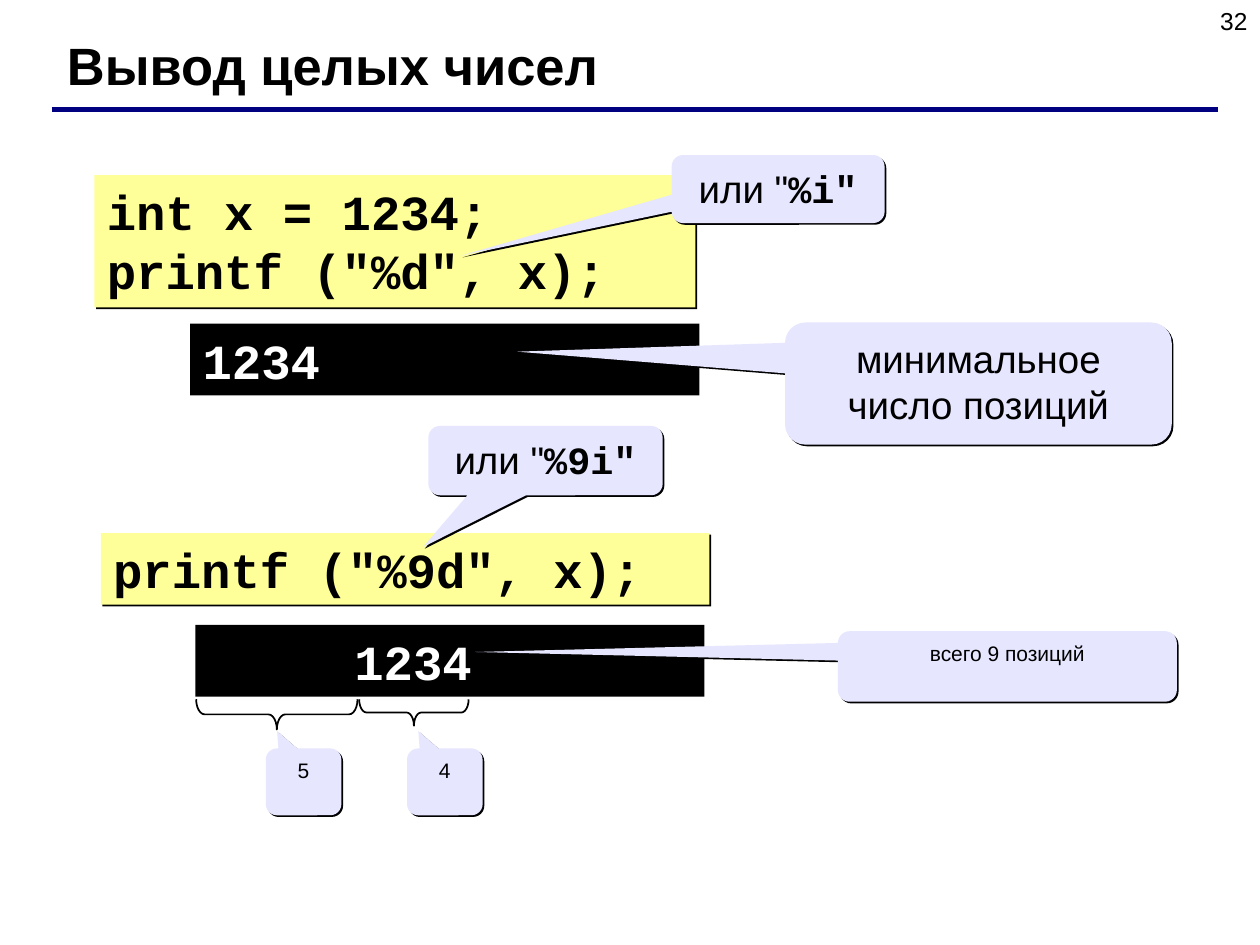
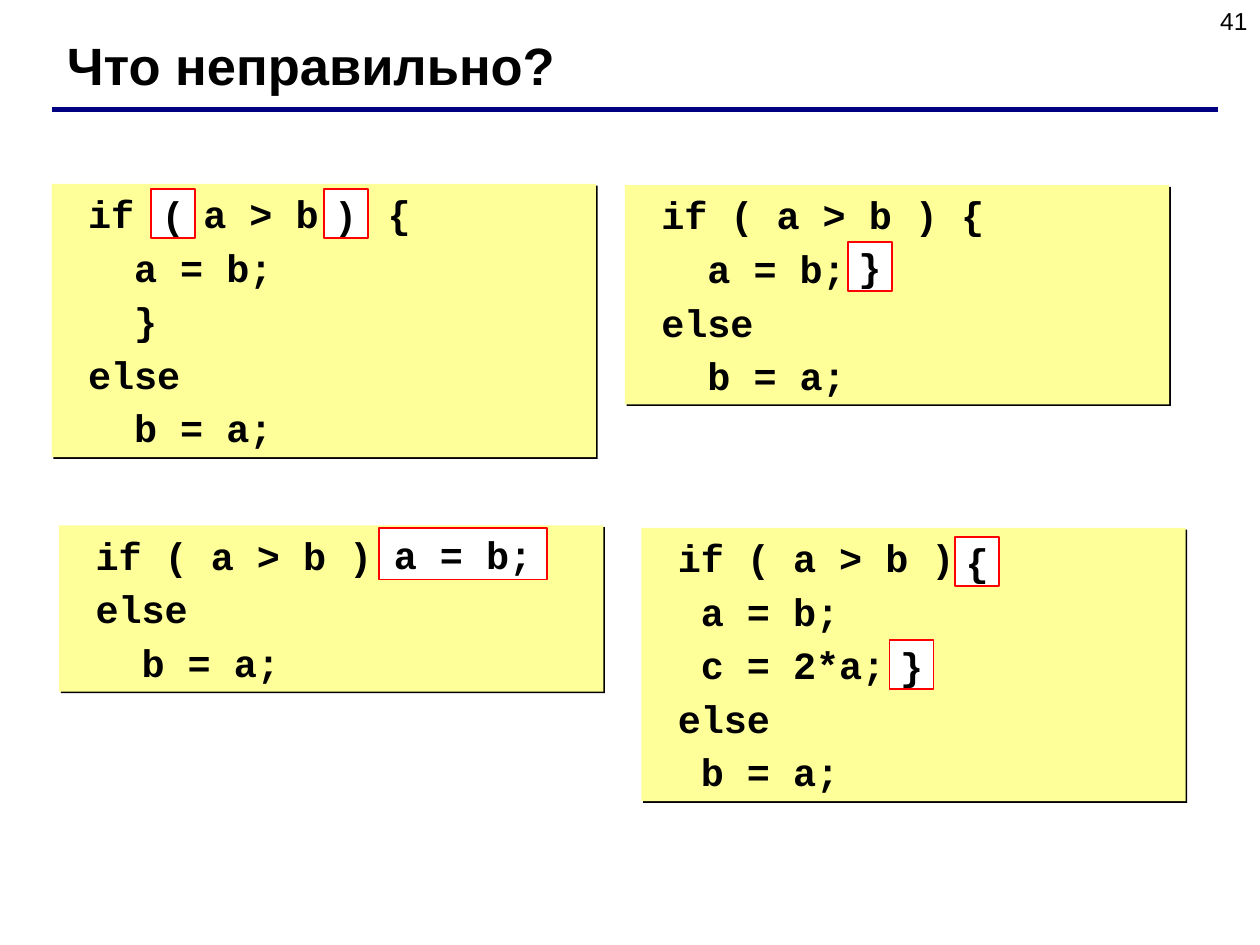
from lxml.etree import SubElement
from pptx import Presentation
from pptx.dml.color import RGBColor
from pptx.enum.shapes import MSO_CONNECTOR, MSO_SHAPE
from pptx.enum.text import MSO_ANCHOR, MSO_AUTO_SIZE, PP_ALIGN
from pptx.oxml.ns import qn
from pptx.util import Pt

BLACK, WHITE, NAVY, RED = "000000", "FFFFFF", "000080", "FF0000"
CODE_FILL, CALLOUT_FILL = "FFFF99", "E6E6FF"
SANS, MONO = "Arial", "Courier New"
MONO_LINE_HEIGHT = 1.205
TITLE_ONLY = 5


def color(value):
    """Turn a hex string into a colour."""
    return RGBColor.from_string(value)


def points(*values):
    """Turn numbers into lengths in points."""
    return [Pt(value) for value in values]


def style_font(font, name, size, bold=False, fill=BLACK):
    """Set the face, size, weight and colour of a font."""
    font.name, font.size, font.bold = name, Pt(size), bold
    font.color.rgb = color(fill)


def add_box(slide, kind, box, fill, line=None, shadow=False):
    """Add a filled preset shape with an optional outline and hard shadow."""
    shape = slide.shapes.add_shape(kind, *points(*box))
    shape.shadow.inherit = False
    shape.fill.solid()
    shape.fill.fore_color.rgb = color(fill)
    if line:
        shape.line.color.rgb = color(line)
        shape.line.width = Pt(1)
    else:
        shape.line.fill.background()
    if shadow:
        effects = shape._element.spPr.find(qn("a:effectLst"))
        outer = SubElement(effects, qn("a:outerShdw"), blurRad="0", dist=str(Pt(1.4)),
                           dir="2700000", algn="ctr", rotWithShape="0")
        SubElement(outer, qn("a:srgbClr"), val=BLACK)
    shape.text_frame.word_wrap = True
    shape.text_frame.vertical_anchor = MSO_ANCHOR.TOP
    return shape


def write_code(shape, lines, size, fill=BLACK, align=PP_ALIGN.LEFT, gap=0):
    """Write lines of bold monospaced code, one paragraph each."""
    frame = shape.text_frame
    for index, line in enumerate(lines):
        paragraph = frame.add_paragraph() if index else frame.paragraphs[0]
        paragraph.text = line
        paragraph.alignment = align
        paragraph.line_spacing = Pt(round(size * MONO_LINE_HEIGHT, 1))
        paragraph.space_before = Pt(gap if index else 0)
        style_font(paragraph.font, MONO, size, True, fill)


def add_frame(presentation, title, number):
    """Start a slide with its title, rule and page number."""
    slide = presentation.slides.add_slide(presentation.slide_layouts[TITLE_ONLY])
    rule = slide.shapes.add_connector(MSO_CONNECTOR.STRAIGHT, *points(29.5, 62.6, 696.2, 62.6))
    rule.line.color.rgb = color(NAVY)
    rule.line.width = Pt(3)
    SubElement(rule._element.spPr, qn("a:effectLst"))

    heading = slide.shapes.title
    heading.left, heading.top, heading.width, heading.height = points(31, 15.1, 640.8, 43.2)
    page = slide.shapes.add_textbox(*points(552.2, 0, 167.8, 37.4))
    for shape, text, align, size, bold in (
        (heading, title, PP_ALIGN.LEFT, 30, True),
        (page, str(number), PP_ALIGN.RIGHT, 14, False),
    ):
        frame = shape.text_frame
        frame.text = text
        frame.word_wrap = True
        frame.auto_size = MSO_AUTO_SIZE.NONE
        frame.vertical_anchor = MSO_ANCHOR.TOP
        paragraph = frame.paragraphs[0]
        paragraph.alignment = align
        style_font(paragraph.font, SANS, size, bold)
    return slide


def add_statement(slide, box, lines):
    """Add a yellow panel with large code."""
    write_code(add_box(slide, MSO_SHAPE.RECTANGLE, box, CODE_FILL, shadow=True), lines, 28)


def add_console(slide, left, top, output):
    """Add a black console strip with white output."""
    strip = add_box(slide, MSO_SHAPE.RECTANGLE, (left, top, 291, 41), BLACK)
    write_code(strip, [output], 28, WHITE)


def add_callout(slide, box, tip, text, size=22, code=""):
    """Add a rounded callout whose tip is given relative to its centre."""
    callout = add_box(slide, MSO_SHAPE.ROUNDED_RECTANGULAR_CALLOUT, box, CALLOUT_FILL, shadow=True)
    for index, value in enumerate((*tip, 0.167)):
        callout.adjustments[index] = value
    paragraph = callout.text_frame.paragraphs[0]
    paragraph.alignment = PP_ALIGN.CENTER
    for part, name in ((text, SANS), (code, MONO)):
        if part:
            run = paragraph.add_run()
            run.text = part
            style_font(run.font, name, size, name == MONO)


def add_brace(slide, left, top, width, height):
    """Add a brace under the given span, pointing down."""
    box = (left + (width - height) / 2, top + (height - width) / 2, height, width)
    brace = slide.shapes.add_shape(MSO_SHAPE.RIGHT_BRACE, *points(*box))
    brace.rotation = 90
    brace.adjustments[0] = 0.28
    brace.shadow.inherit = False
    brace.fill.background()
    brace.line.color.rgb = color(BLACK)
    brace.line.width = Pt(1)


def add_mistake_panel(slide, box, lines, markers):
    """Add a code panel and red-framed markers placed from its corner."""
    panel = add_box(slide, MSO_SHAPE.RECTANGLE, box, CODE_FILL, shadow=True)
    panel.text_frame.margin_left = Pt(20.8)
    write_code(panel, lines, 22, gap=4.1)
    left, top = box[:2]
    for text, across, down, width, height in markers:
        marker_box = (left + across, top + down, width, height)
        marker = add_box(slide, MSO_SHAPE.RECTANGLE, marker_box, WHITE, RED)
        marker.text_frame.word_wrap = False
        marker.text_frame.vertical_anchor = MSO_ANCHOR.MIDDLE
        write_code(marker, [text], 22, align=PP_ALIGN.CENTER)


def build_output_slide(presentation):
    """Build the slide on printing integers."""
    slide = add_frame(presentation, "Вывод целых чисел", 32)
    add_statement(slide, (54, 100.1, 343.4, 75.6), ["int x = 1234;", 'printf ("%d", x);'])
    add_console(slide, 108.7, 185, "1234")
    add_statement(slide, (57.6, 304.6, 347.8, 41), ['printf ("%9d", x);'])
    add_console(slide, 111.6, 357.1, "     1234")

    add_callout(slide, (448.6, 184.3, 221, 69.8), (-1.193, -0.261), "минимальное число позиций")
    add_callout(slide, (478.8, 360.7, 193.7, 40.3), (-1.57, -0.205), "всего 9 позиций", 12)
    add_callout(slide, (383.8, 88.6, 121.7, 38.9), (-1.491, 0.981), 'или "', code='%i"')
    add_callout(slide, (244.8, 243.4, 133.9, 39.6), (-0.523, 1.248), 'или "', code='%9i"')

    add_brace(slide, 112.1, 399.6, 92.2, 17.3)
    add_brace(slide, 205.2, 399.6, 62.6, 15.1)
    for left, count in ((151.9, "5"), (232.6, "4")):
        add_callout(slide, (left, 427.7, 43.2, 38.2), (-0.35, -0.761), count, 12)


def build_mistakes_slide(presentation):
    """Build the slide with four faulty conditions."""
    slide = add_frame(presentation, "Что неправильно?", 41)
    symbol = (25.2, 28.1)
    panels = (
        ((29.5, 105.1, 311, 156.2),
         ["if   a > b   {", "  a = b;", "  }", "else", "  b = a;"],
         [("(", 56.9, 2.9, *symbol), (")", 155.5, 2.9, *symbol)]),
        ((357.1, 105.8, 311, 125.3),
         ["if ( a > b ) {", "  a = b;", "else", "  b = a;"],
         [("}", 127.4, 32.4, *symbol)]),
        ((33.8, 300.2, 311, 95),
         ["if ( a > b )", "else", "  b = a;"],
         [("a = b;", 182.9, 1.4, 95.8, 29.5)]),
        ((366.5, 301.7, 311, 156.2),
         ["if ( a > b )", " a = b;", " c = 2*a;", "else", " b = a;"],
         [("{", 179.3, 5, *symbol), ("}", 141.8, 64.1, *symbol)]),
    )
    for box, lines, markers in panels:
        add_mistake_panel(slide, box, lines, markers)


def main():
    """Build and save the presentation."""
    presentation = Presentation()
    presentation.slide_width, presentation.slide_height = points(720, 540)
    build_output_slide(presentation)
    build_mistakes_slide(presentation)
    presentation.save("out.pptx")


if __name__ == "__main__":
    main()
